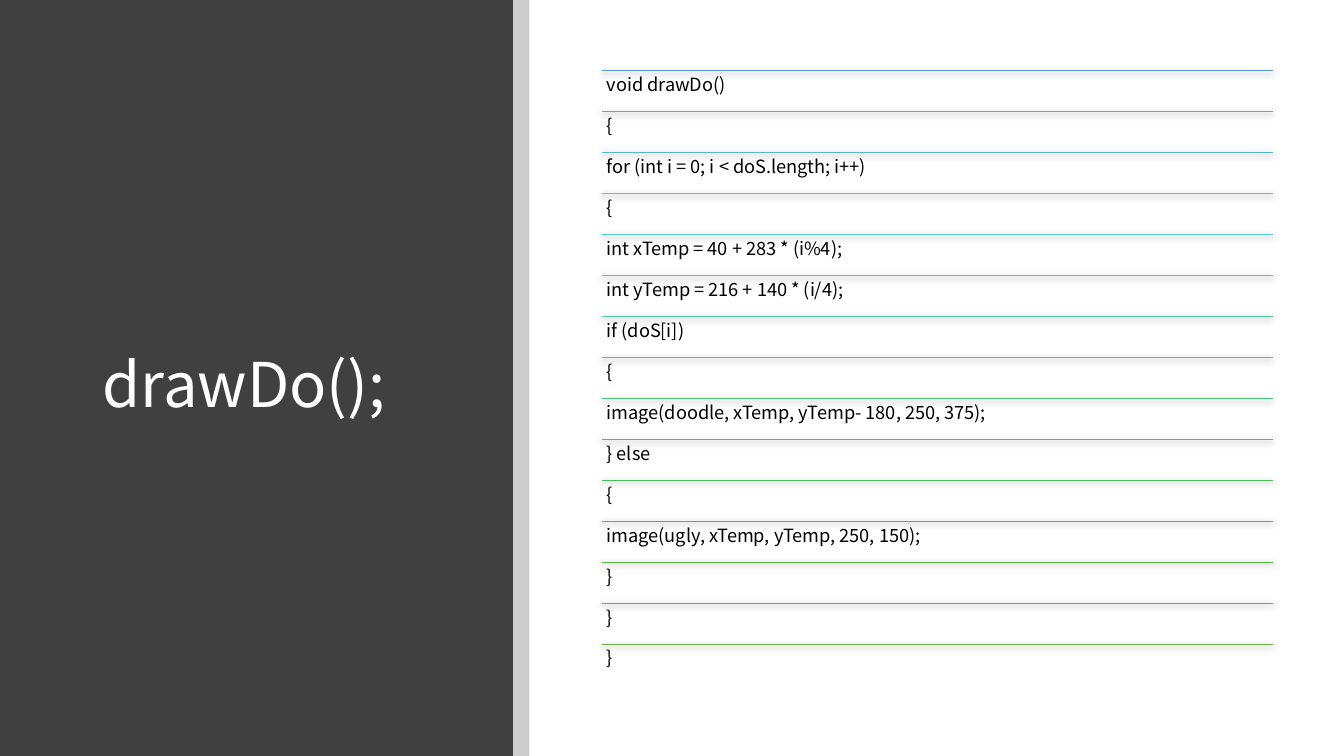
"""Build a slide that lists the drawDo() function line by line."""
from lxml import etree
from pptx import Presentation
from pptx.dml.color import RGBColor
from pptx.enum.shapes import MSO_CONNECTOR, MSO_SHAPE
from pptx.enum.text import MSO_ANCHOR as Anchor
from pptx.oxml import parse_xml
from pptx.oxml.ns import nsdecls, qn
from pptx.util import Cm, Pt

FONT = "Noto Sans CJK KR"
LEFT, TOP, WIDTH, STEP = 15.16, 1.78, 16.92, 14.45 / 14
CODE = [
    ("void drawDo()", "5B9BD5"),
    ("{", "59A9D3"),
    ("for (int i = 0; i < doS.length; i++)", "57B7D1"),
    ("{", "55C5CE"),
    ("int xTemp = 40 + 283 * (i%4);", "53CCC5"),
    ("int yTemp = 216 + 140 * (i/4);", "51CAB2"),
    ("if (doS[i])", "4FC7A0"),
    ("{", "4DC58D"),
    ("image(doodle, xTemp, yTemp- 180, 250, 375);", "4CC27B"),
    ("} else", "4ABF6A"),
    ("{", "48BD58"),
    ("image(ugly, xTemp, yTemp, 250, 150);", "47BA47"),
    ("}", "55B646"),
    ("}", "63B247"),
    ("}", "70AD47"),
]
SHADOW = f"""<a:effectLst {nsdecls("a")}>
  <a:outerShdw blurRad="57150" dist="19050" dir="5400000" algn="ctr" rotWithShape="0">
    <a:srgbClr val="000000"><a:alpha val="63000"/></a:srgbClr>
  </a:outerShdw>
</a:effectLst>"""


def rgb(color):
    return RGBColor.from_string(color)


def add_text(s, text, x, y, w, h, *, size, color, inset, anchor=Anchor.TOP):
    tf = s.shapes.add_textbox(Cm(x), Cm(y), Cm(w), Cm(h)).text_frame
    tf.word_wrap = True
    tf.vertical_anchor = anchor
    tf.margin_left = tf.margin_right = Cm(inset)
    tf.margin_top = tf.margin_bottom = Cm(0.13)
    p = tf.paragraphs[0]
    p.line_spacing = 0.9
    r = p.add_run()
    r.text = text
    r.font.name, r.font.size = FONT, Pt(size)
    r.font.color.rgb = rgb(color)


prs = Presentation()
prs.slide_width, prs.slide_height = Cm(33.87), Cm(19.05)
s = prs.slides.add_slide(prs.slide_layouts[6])

for x, w, color, alpha in [(0, 12.93, "404040", 100), (12.93, 0.41, "000000", 20)]:
    sp = s.shapes.add_shape(MSO_SHAPE.RECTANGLE, Cm(x), 0, Cm(w), prs.slide_height)
    sp.shadow.inherit = False
    sp.fill.solid()
    sp.fill.fore_color.rgb = rgb(color)
    sp.line.fill.background()
    if alpha < 100:
        clr = sp.fill._xPr.find(qn("a:solidFill"))[0]
        etree.SubElement(clr, qn("a:alpha"), val=str(alpha * 1000))

add_text(s, "drawDo();", 2.34, 2.26, 9.27, 15.01,
         size=44, color="FFFFFF", inset=0.25, anchor=Anchor.MIDDLE)

for i, (text, color) in enumerate(CODE):
    y = TOP + i * STEP
    rule = s.shapes.add_connector(
        MSO_CONNECTOR.STRAIGHT, Cm(LEFT), Cm(y), Cm(LEFT + WIDTH), Cm(y))
    rule.line.color.rgb = rgb(color)
    rule.line.width = Pt(0.5)
    rule._element.spPr.append(parse_xml(SHADOW))
    add_text(s, text, LEFT, y, WIDTH, STEP, size=13, color="000000", inset=0.13)

prs.save("out.pptx")
